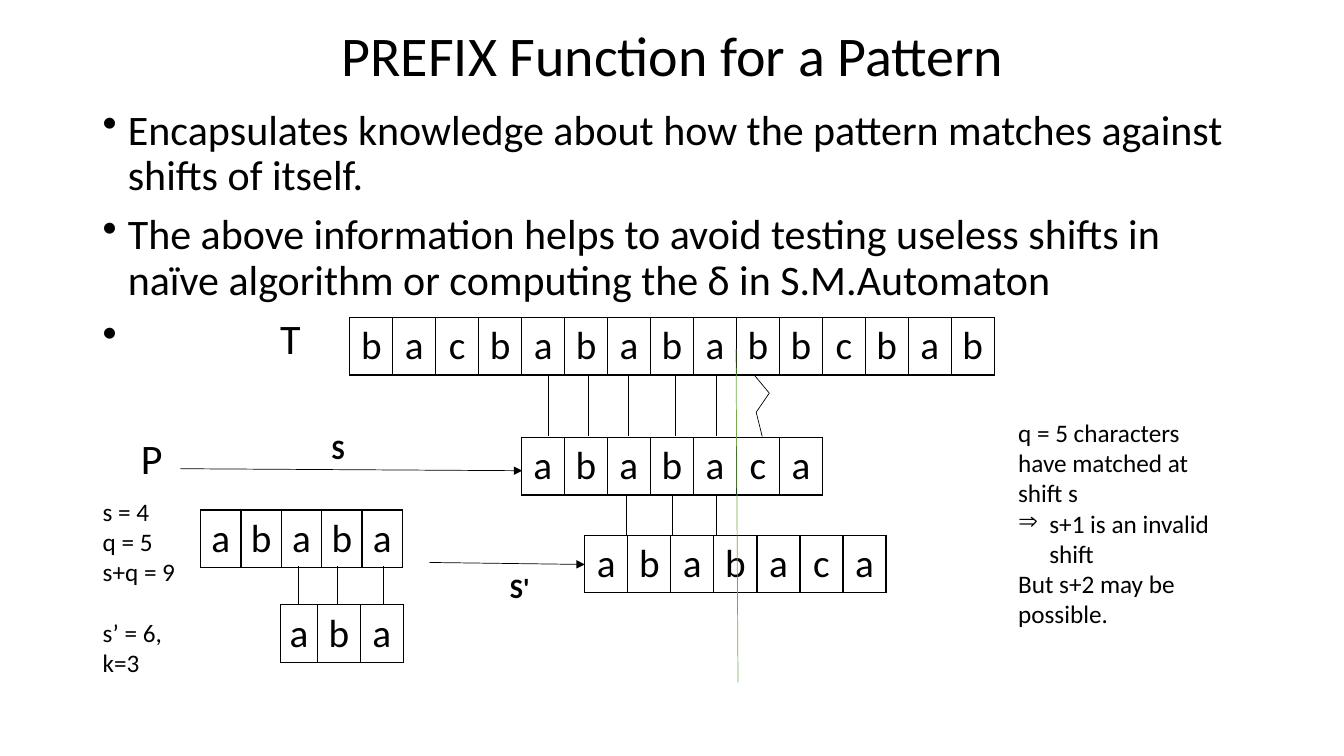
from lxml.etree import SubElement
from pptx import Presentation
from pptx.dml.color import RGBColor
from pptx.enum.shapes import MSO_CONNECTOR as Connector
from pptx.enum.text import MSO_ANCHOR as Anchor, PP_ALIGN as Align
from pptx.oxml.ns import qn
from pptx.util import Inches, Pt

COLORS = {"ink": "000000", "paper": "FFFFFF", "cut": "70AD47"}
FONT = "Calibri"


def rgb(name):
    """Look up a colour by name."""
    return RGBColor.from_string(COLORS[name])


def box(*lengths):
    """Turn numbers into lengths in inches."""
    return [Inches(length) for length in lengths]


class SlideBuilder:
    """Holds the style and the current slide."""

    def __init__(self, deck):
        """Add a title-only slide to the deck."""
        self.slide = deck.slides.add_slide(deck.slide_layouts[5])
        self.shapes = self.slide.shapes

    def paragraph(self, para, text, size, bold=False, bullet=None, indent=0,
                  **formats):
        """Write one paragraph with its format, bullet and left indent."""
        run = para.add_run()
        run.text = text
        font_formats = {"name": FONT, "size": Pt(size), "bold": bold}
        for key, value in font_formats.items():
            setattr(run.font, key, value)
        run.font.color.rgb = rgb("ink")
        for key, value in formats.items():
            setattr(para, key, value)
        if indent:
            props = para._p.get_or_add_pPr()
            props.set("marL", str(Inches(indent)))
            props.set("indent", str(-Inches(indent) if bullet else 0))
        if bullet:
            SubElement(para._p.get_or_add_pPr(), qn("a:buChar"), char=bullet)

    def title(self, text, place):
        """Place and format the title."""
        title = self.shapes.title
        title.left, title.top, title.width, title.height = box(*place)
        title.text_frame.vertical_anchor = Anchor.MIDDLE
        self.paragraph(title.text_frame.paragraphs[0], text, 40,
                       alignment=Align.CENTER, line_spacing=0.9)

    def text(self, place, size, paragraphs, **shared):
        """Add a text box from pairs of text and own formats."""
        frame = self.shapes.add_textbox(*box(*place)).text_frame
        frame.word_wrap = True
        for index, (text, formats) in enumerate(paragraphs):
            para = frame.add_paragraph() if index else frame.paragraphs[0]
            self.paragraph(para, text, size, **{**shared, **formats})

    def string_row(self, letters, left, top, width, first=None, fill=None):
        """Add a one-row table with a letter in each cell."""
        count = len(letters)
        table = self.shapes.add_table(
            1, count, *box(left, top, width, 0.57)).table
        table.first_row = table.horz_banding = False
        first = first or width / count
        rest = (width - first) / (count - 1)
        for index, letter in enumerate(letters):
            table.columns[index].width = Inches(rest if index else first)
            cell = table.cell(0, index)
            cell.margin_left = cell.margin_right = Inches(0.05)
            self.paragraph(cell.text_frame.paragraphs[0], letter, 28,
                           alignment=Align.CENTER)
            self.borders(cell)
            if fill:
                cell.fill.solid()
                cell.fill.fore_color.rgb = rgb(fill)
            else:
                cell.fill.background()

    def borders(self, cell):
        """Draw thin borders on all four sides of a cell."""
        props = cell._tc.get_or_add_tcPr()
        for side in "LRTB":
            edge = SubElement(props, qn(f"a:ln{side}"), w=str(Pt(1)))
            paint = SubElement(edge, qn("a:solidFill"))
            SubElement(paint, qn("a:srgbClr"), val=COLORS["ink"])

    def line(self, start, end, color="ink", arrow=False):
        """Add a straight line, with an arrowhead at its end if asked."""
        line = self.shapes.add_connector(
            Connector.STRAIGHT, *box(*start, *end))
        line.line.color.rgb = rgb(color)
        line.line.width = Pt(0.5)
        if arrow:
            SubElement(line.line._get_or_add_ln(), qn("a:tailEnd"),
                       type="triangle")
        SubElement(line._element.spPr, qn("a:effectLst"))


deck = Presentation()
deck.slide_width, deck.slide_height = box(13.33, 7.5)
page = SlideBuilder(deck)

page.title("PREFIX Function for a Pattern", (0.92, 0.1, 11.5, 0.95))
point = {"bullet": "•", "indent": 0.25}
page.text((0.92, 1.03, 11.63, 6.17), 30, [
    ("Encapsulates knowledge about how the pattern matches against shifts "
     "of itself.", point),
    ("The above information helps to avoid testing useless shifts in naïve "
     "algorithm or computing the δ in S.M.Automaton", point),
    ("T", {"bullet": "•", "indent": 1.76}),
    ("P", {"indent": 0.38, "space_before": Pt(53)}),
], line_spacing=0.9, space_before=Pt(10))

pattern = "ababaca"
page.string_row("bacbababaabbcbab"[:8] + "abbcbab", 3.47, 3.15, 6.39,
                fill="paper")
page.string_row(pattern, 5.17, 4.34, 2.99)
page.string_row(pattern, 5.8, 5.31, 2.99)
page.string_row(pattern[:5], 1.99, 5.06, 2)
page.string_row(pattern[:3], 2.78, 6, 1.22, first=0.37)

# Matching letters: top, bottom and the x of each link
match_links = [
    (3.72, 4.33, (5.44, 5.84, 6.23, 6.7, 7.1)),
    (4.92, 5.31, (6.21, 6.67, 7.11)),
    (5.62, 6, (2.96, 3.35, 3.8)),
]
for top, bottom, positions in match_links:
    for x in positions:
        page.line((x, top), (x, bottom))

mismatch = [(7.48, 3.72), (7.63, 3.9), (7.5, 4.09), (7.56, 4.33)]
for start, end in zip(mismatch, mismatch[1:]):
    page.line(start, end)
page.line((7.3, 3.46), (7.32, 6.77), color="cut")

shifts = [
    ("S", (3.19, 4.23, 0.31, 0.44), (1.79, 4.65), (5.18, 4.67)),
    ("S'", (4.96, 5.61, 0.47, 0.44), (4.26, 5.58), (5.8, 5.6)),
]
for label, place, start, end in shifts:
    page.line(start, end, arrow=True)
    page.text(place, 20, [(label, {"bold": True})])

page.text((0.92, 4.87, 1.01, 1.92), 18, [
    ("s = 4", {}), ("q = 5", {}), ("s+q = 9", {}),
    ("s’ = 6,", {"space_before": Pt(22)}), ("k=3", {}),
])
page.text((10, 4.09, 2.23, 2.22), 18, [
    ("q = 5 characters have matched at shift s", {}),
    ("s+1 is an invalid shift", {"bullet": "⇒", "indent": 0.31}),
    ("But s+2 may be possible.", {}),
])

deck.save("out.pptx")
